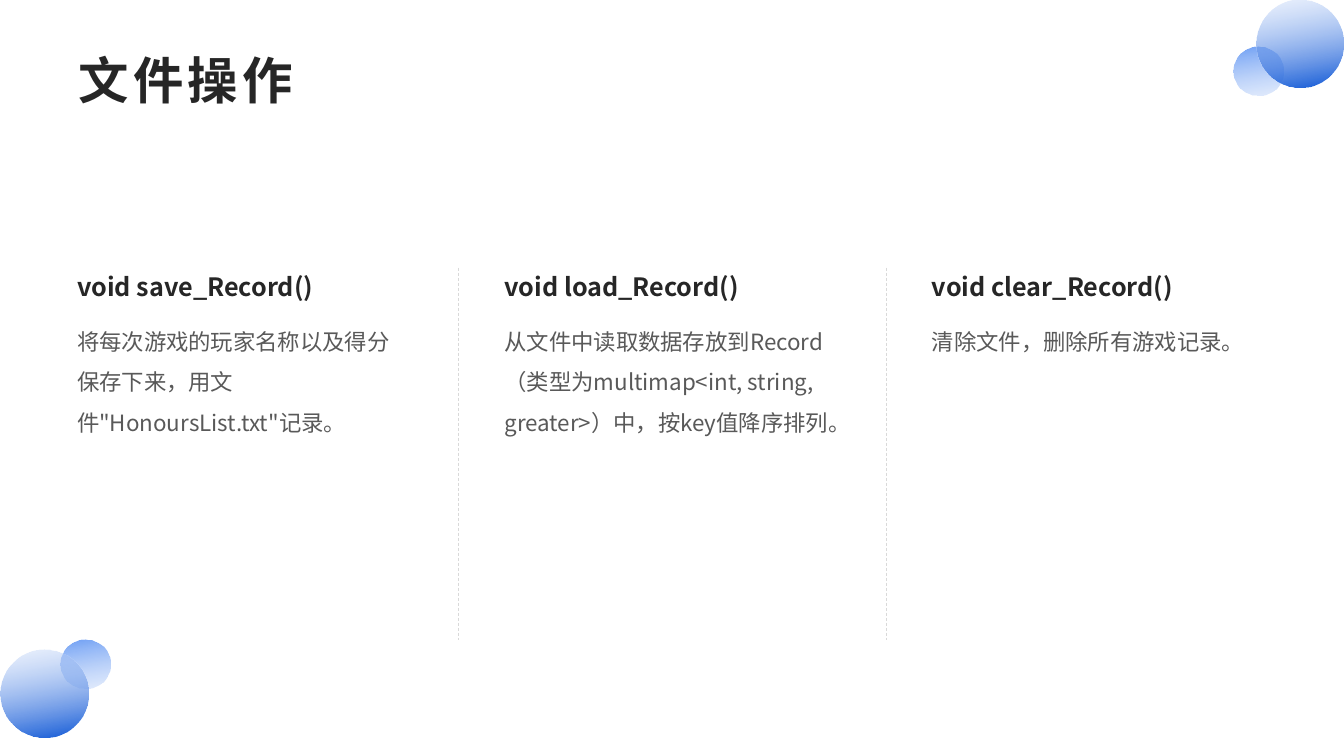
from lxml.etree import SubElement
from pptx import Presentation
from pptx.dml.color import RGBColor
from pptx.enum.dml import MSO_LINE
from pptx.enum.shapes import MSO_CONNECTOR, MSO_SHAPE
from pptx.enum.text import MSO_ANCHOR
from pptx.oxml.ns import qn
from pptx.util import Pt

PX = 9525
FONT = "Noto Sans CJK SC"
INK = RGBColor(0x26, 0x26, 0x26)
GREY = RGBColor(0x59, 0x59, 0x59)
RULE = RGBColor(0xD9, 0xD9, 0xD9)
PALE_BLUE = RGBColor(0xCB, 0xDC, 0xFB)
SOFT_BLUE = RGBColor(0x6E, 0x9F, 0xF5)
DEEP_BLUE = RGBColor(0x0F, 0x57, 0xD6)

COLUMN_LEFT = 64
COLUMN_PITCH = 407
COLUMN_WIDTH = 337
COLUMNS = [
    ("void save_Record()", "将每次游戏的玩家名称以及得分保存下来，用文件\"HonoursList.txt\"记录。"),
    ("void load_Record()", "从文件中读取数据存放到Record（类型为multimap<int, string, greater>）中，按key值降序排列。"),
    ("void clear_Record()", "清除文件，删除所有游戏记录。"),
]


def add_bubble(group, left, top, size, color, alpha, angle):
    bubble = group.shapes.add_shape(MSO_SHAPE.OVAL, left * PX, top * PX, size * PX, size * PX)
    bubble.shadow.inherit = False
    bubble.line.fill.background()
    bubble.fill.gradient()
    bubble.fill.gradient_angle = angle
    start, end = bubble.fill.gradient_stops
    start.color.rgb = PALE_BLUE
    end.color.rgb = color
    pale = next(bubble.element.iter(qn("a:srgbClr")))
    SubElement(pale, qn("a:alpha"), val=str(alpha * 1000))


def add_text(left, top, width, height, text, size, color, bold=False):
    box = page.shapes.add_textbox(left * PX, top * PX, width * PX, height * PX)
    box.text_frame.word_wrap = True
    para = box.text_frame.paragraphs[0]
    span = para.add_run()
    span.text = text
    span.font.size = Pt(size)
    span.font.bold = bold
    span.font.color.rgb = color
    span.font.name = FONT
    SubElement(span.font._element, qn("a:ea"), typeface=FONT)
    return box.text_frame, para, span


deck = Presentation()
deck.slide_width = 1280 * PX
deck.slide_height = 720 * PX
page = deck.slides.add_slide(deck.slide_layouts[6])

for small_left, small_top, large_left, large_top in [(1175, 44, 1197, 0), (58, 609, 1, 619)]:
    corner = page.shapes.add_group_shape()
    add_bubble(corner, small_left, small_top, 47, SOFT_BLUE, 55, 100)
    add_bubble(corner, large_left, large_top, 83, DEEP_BLUE, 39, 280)

frame, para, span = add_text(COLUMN_LEFT, 39, 1152, 74, "文件操作", 36, INK, True)
frame.vertical_anchor = MSO_ANCHOR.MIDDLE
frame.margin_left = 11 * PX
frame.margin_right = 8 * PX
frame.margin_top = frame.margin_bottom = 4 * PX
span.font._element.set("spc", "300")

for index, (heading, description) in enumerate(COLUMNS):
    left = COLUMN_LEFT + index * COLUMN_PITCH
    frame, para, span = add_text(left, 295, COLUMN_WIDTH, 354, description, 16, GREY)
    para.line_spacing = 1.5
    para.space_before = Pt(10)
    add_text(left, 254, COLUMN_WIDTH, 42, heading, 18, INK, True)

for index in range(len(COLUMNS) - 1):
    x = 437 + index * COLUMN_PITCH
    divider = page.shapes.add_connector(MSO_CONNECTOR.STRAIGHT, x * PX, 255 * PX, x * PX, 610 * PX)
    divider.line.color.rgb = RULE
    divider.line.width = Pt(0.5)
    divider.line.dash_style = MSO_LINE.DASH
    SubElement(divider.element.spPr, qn("a:effectLst"))

deck.save("out.pptx")
